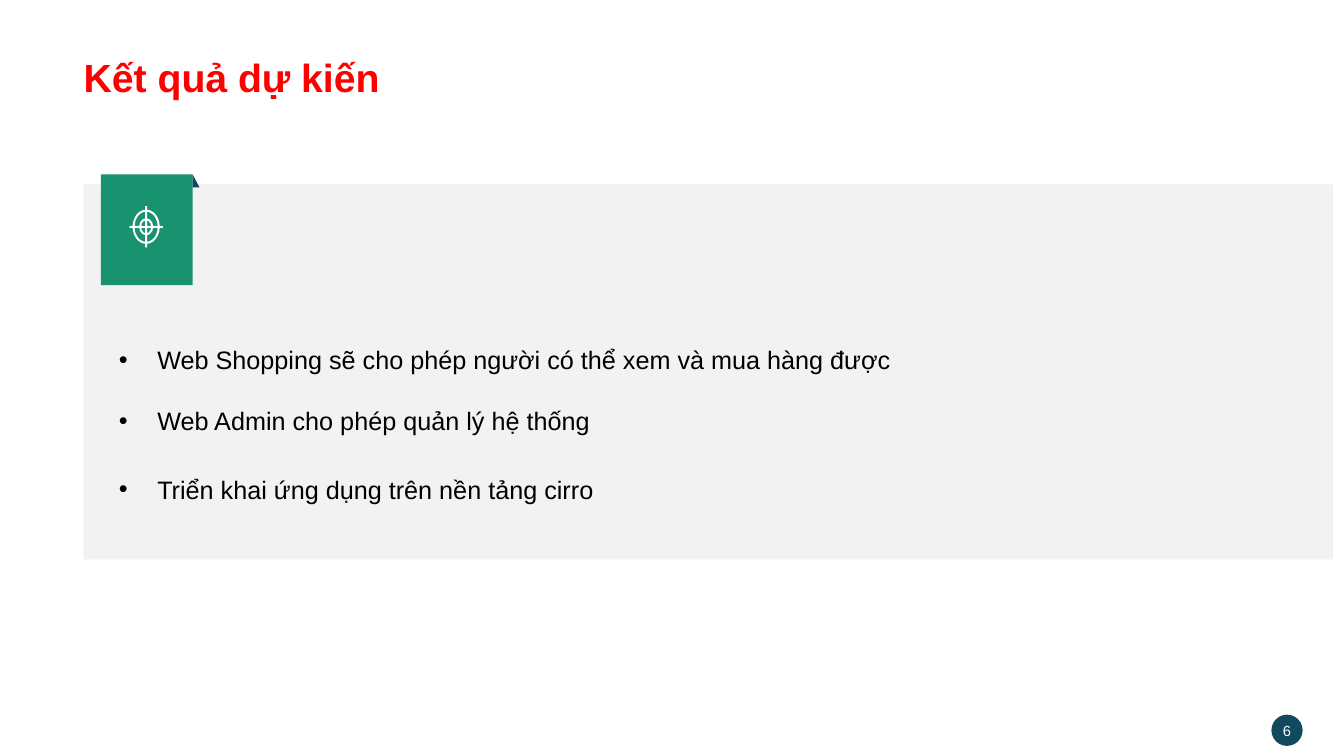
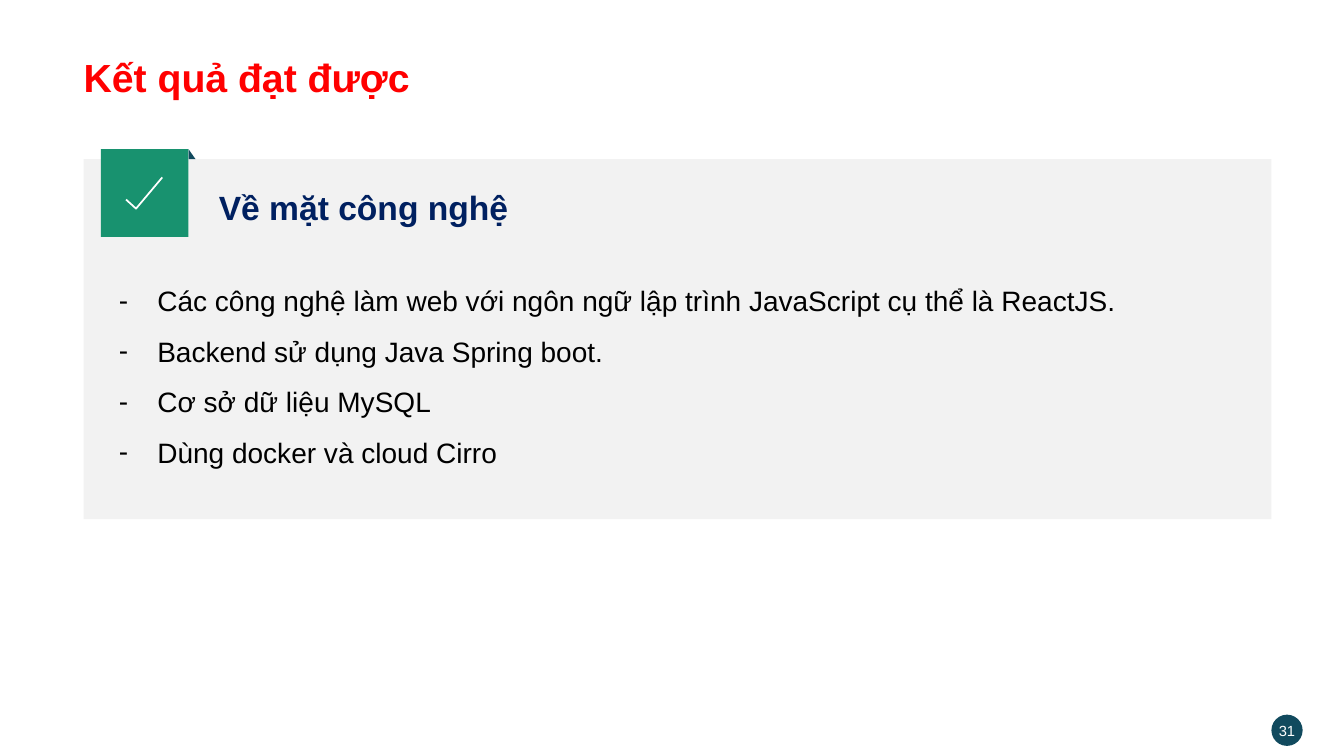
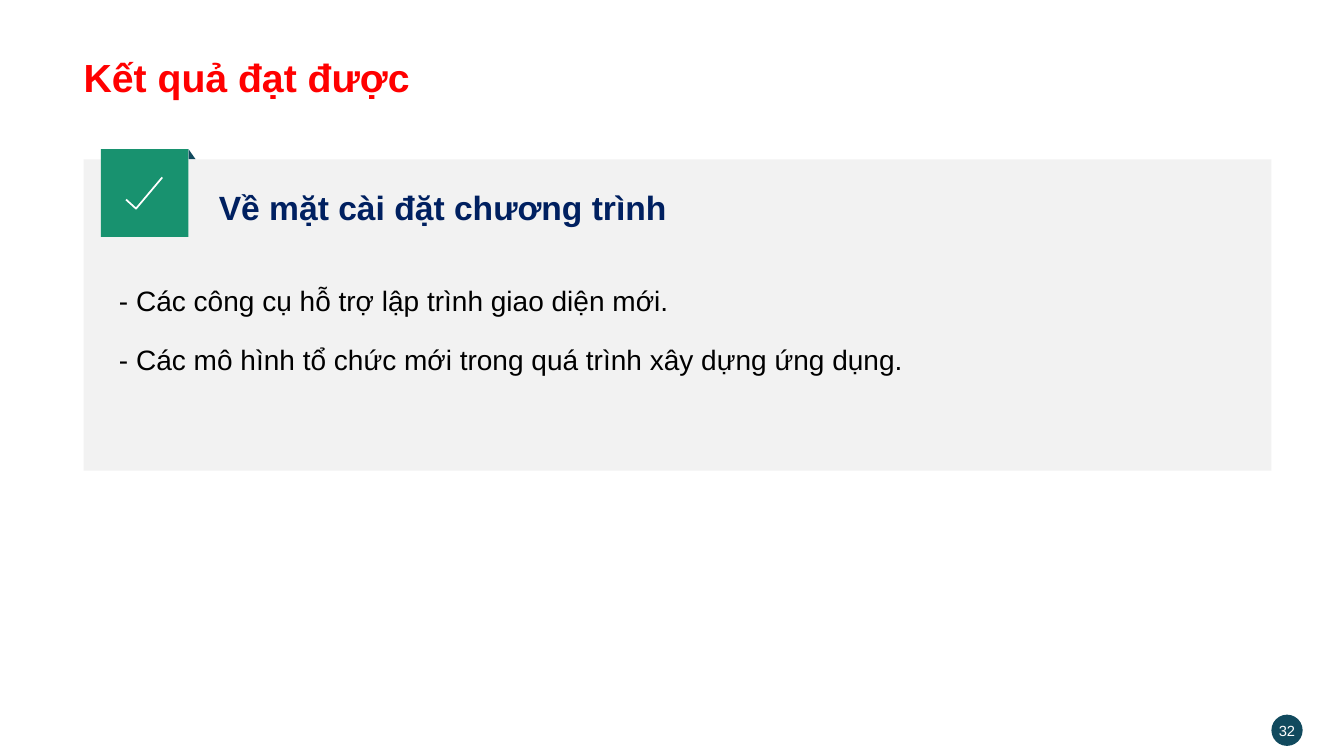
from lxml import etree
from pptx import Presentation
from pptx.dml.color import RGBColor
from pptx.enum.shapes import MSO_SHAPE
from pptx.enum.text import MSO_ANCHOR, PP_ALIGN
from pptx.oxml.ns import qn
from pptx.util import Inches, Pt

RECT, OVAL = MSO_SHAPE.RECTANGLE, MSO_SHAPE.OVAL
TRIANGLE, DONUT = MSO_SHAPE.RIGHT_TRIANGLE, MSO_SHAPE.DONUT
PILL = MSO_SHAPE.ROUNDED_RECTANGLE
TOP, MIDDLE, BOTTOM = MSO_ANCHOR.TOP, MSO_ANCHOR.MIDDLE, MSO_ANCHOR.BOTTOM
LEFT, CENTER, JUSTIFY = PP_ALIGN.LEFT, PP_ALIGN.CENTER, PP_ALIGN.JUSTIFY

COLORS = {"title": "FF0000", "heading": "002060", "body": "000000", "white": "FFFFFF",
          "panel": "F2F2F2", "tile": "18926F", "dark": "114A5E"}
FONT = "Arial"
MARGIN = 0.83


class Deck:
    def __init__(self):
        self.prs = Presentation()
        self.prs.slide_width, self.prs.slide_height = Inches(13.33), Inches(7.5)
        self.s = None

    def slide(self, title, number):
        self.s = self.prs.slides.add_slide(self.prs.slide_layouts[6])
        badge = self.shape(OVAL, 12.61, 7.09, 0.31, 0.31, "dark")
        self.set_text(badge.text_frame, [str(number)], 10.5, "white", align=CENTER,
                      anchor=MIDDLE, wrap=False)
        self.text(MARGIN, 0.43, 11.49, 0.62, [title], 28, "title", bold=True,
                  anchor=BOTTOM, spacing=0.9, pad=0.05)

    def shape(self, kind, x, y, w, h, color):
        sp = self.s.shapes.add_shape(kind, Inches(x), Inches(y), Inches(w), Inches(h))
        sp.shadow.inherit = False
        sp.fill.solid()
        sp.fill.fore_color.rgb = RGBColor.from_string(COLORS[color])
        sp.line.fill.background()
        return sp

    def text(self, x, y, w, h, lines, size, color, **style):
        box = self.s.shapes.add_textbox(Inches(x), Inches(y), Inches(w), Inches(h))
        self.set_text(box.text_frame, lines, size, color, **style)
        return box.text_frame

    def set_text(self, tf, lines, size, color, bold=False, align=LEFT, anchor=TOP,
                 spacing=1.0, pad=0, bullet=None, wrap=True):
        tf.word_wrap = wrap
        tf.vertical_anchor = anchor
        tf.margin_left = tf.margin_right = 0
        tf.margin_top = tf.margin_bottom = Inches(pad)
        tf.text = "\n".join(lines)
        for p in tf.paragraphs:
            p.alignment = align
            p.line_spacing = spacing
            if bullet:
                self.bullet(p, bullet)
            for r in p.runs:
                r.font.name, r.font.size, r.font.bold = FONT, Pt(size), bold
                r.font.color.rgb = RGBColor.from_string(COLORS[color])

    def bullet(self, p, char):
        pPr = p._p.get_or_add_pPr()
        pPr.set("marL", str(Inches(0.38)))
        pPr.set("indent", str(-Inches(0.38)))
        etree.SubElement(pPr, qn("a:buFont")).set("typeface", FONT)
        etree.SubElement(pPr, qn("a:buChar")).set("char", char)

    def panel(self, y, w, h, tile_top, tile_w, tile_h, fold_h):
        self.shape(RECT, MARGIN, y, w, h, "panel")
        self.shape(RECT, 1, tile_top, tile_w, tile_h, "tile")
        self.shape(TRIANGLE, 1 + tile_w, tile_top, 0.07, fold_h, "dark")

    def target(self, cx, cy):
        for w, h in ((0.27, 0.34), (0.14, 0.17)):
            ring = self.shape(DONUT, cx - w / 2, cy - h / 2, w, h, "white")
            ring.adjustments[0] = 0.02 / w
        for w, h in ((0.02, 0.41), (0.33, 0.02)):
            self.shape(PILL, cx - w / 2, cy - h / 2, w, h, "white")

    def check(self):
        points = [(Inches(x), Inches(y)) for x, y in ((1.61, 1.76), (1.35, 2.07), (1.25, 1.98))]
        builder = self.s.shapes.build_freeform(*points[0])
        builder.add_line_segments(points[1:], close=False)
        tick = builder.convert_to_shape()
        tick.shadow.inherit = False
        tick.fill.background()
        tick.line.color.rgb = RGBColor.from_string(COLORS["white"])
        tick.line.width = Pt(1.25)

    def achievement(self, number, heading, panel_h, lines, bullet=None):
        self.slide("Kết quả đạt được", number)
        self.panel(1.58, 11.78, panel_h, 1.48, 0.87, 0.87, 0.1)
        self.check()
        self.text(2.17, 1.88, 4.85, 0.34, [heading], 24, "heading", bold=True, anchor=MIDDLE)
        return self.text(1.18, 2.65, 10.62, 3.18, lines, 20, "body", align=JUSTIFY,
                         spacing=1.5, bullet=bullet)


def main():
    deck = Deck()

    deck.slide("Kết quả dự kiến", 6)
    deck.panel(1.83, 12.39, 3.72, 1.73, 0.91, 1.1, 0.13)
    deck.target(1.45, 2.25)
    tf = deck.text(1.18, 3.12, 11.18, 2.06, [
        "Web Shopping sẽ cho phép người có thể xem và mua hàng được",
        "Web Admin cho phép quản lý hệ thống",
        "Triển khai ứng dụng trên nền tảng cirro",
    ], 18, "body", align=JUSTIFY, spacing=2.0, bullet="•")
    tf.paragraphs[1].space_after = Pt(6)

    deck.achievement(31, "Về mặt công nghệ", 3.57, [
        "Các công nghệ làm web với ngôn ngữ lập trình JavaScript cụ thể là ReactJS.",
        "Backend sử dụng Java Spring boot.",
        "Cơ sở dữ liệu MySQL",
        "Dùng docker và cloud Cirro",
    ], bullet="-")

    tf = deck.achievement(32, "Về mặt cài đặt chương trình", 3.09, [
        "- Các công cụ hỗ trợ lập trình giao diện mới.",
        "- Các mô hình tổ chức mới trong quá trình xây dựng ứng dụng.",
    ])
    tf.paragraphs[1].space_before = Pt(6)

    deck.prs.save("out.pptx")


if __name__ == "__main__":
    main()
